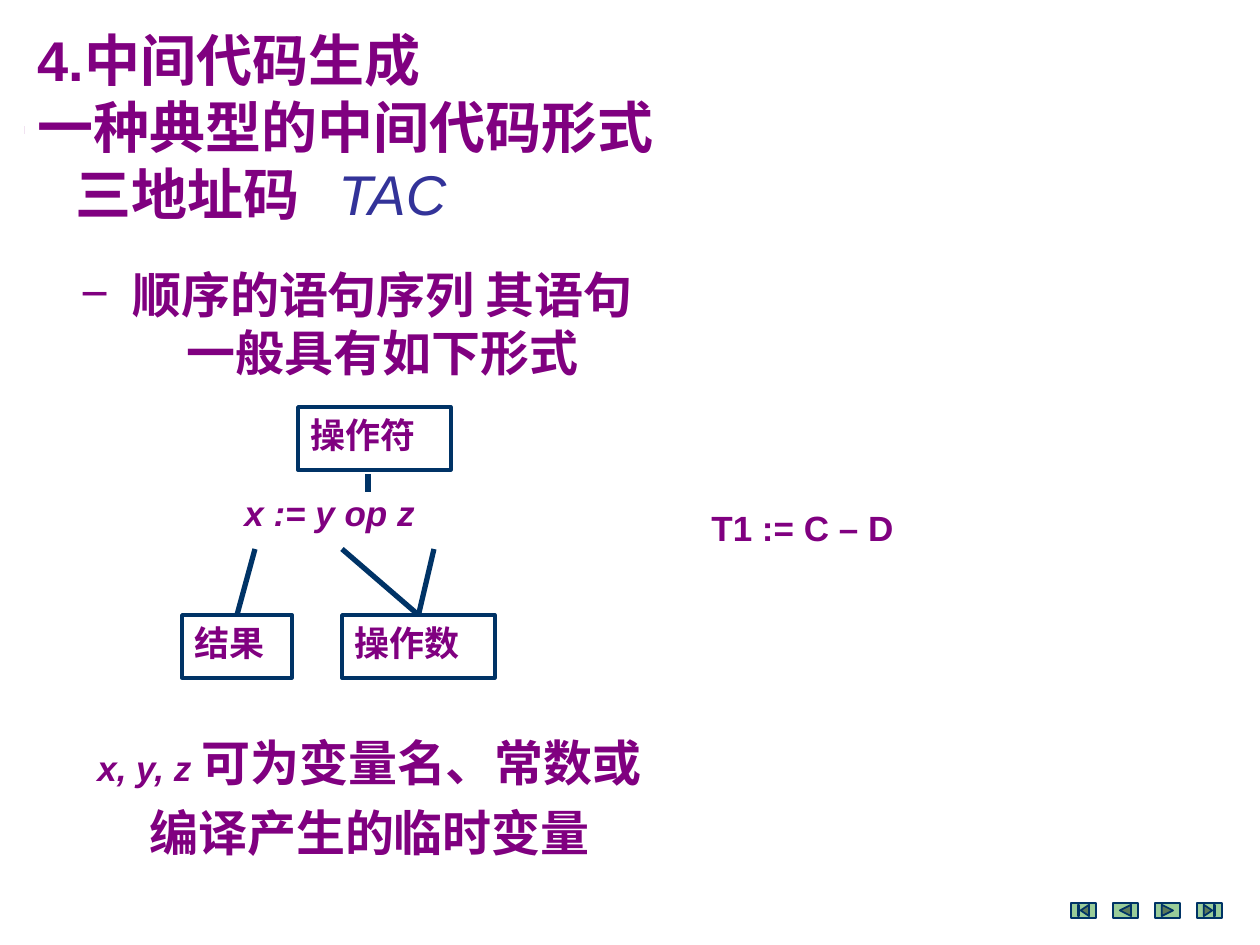
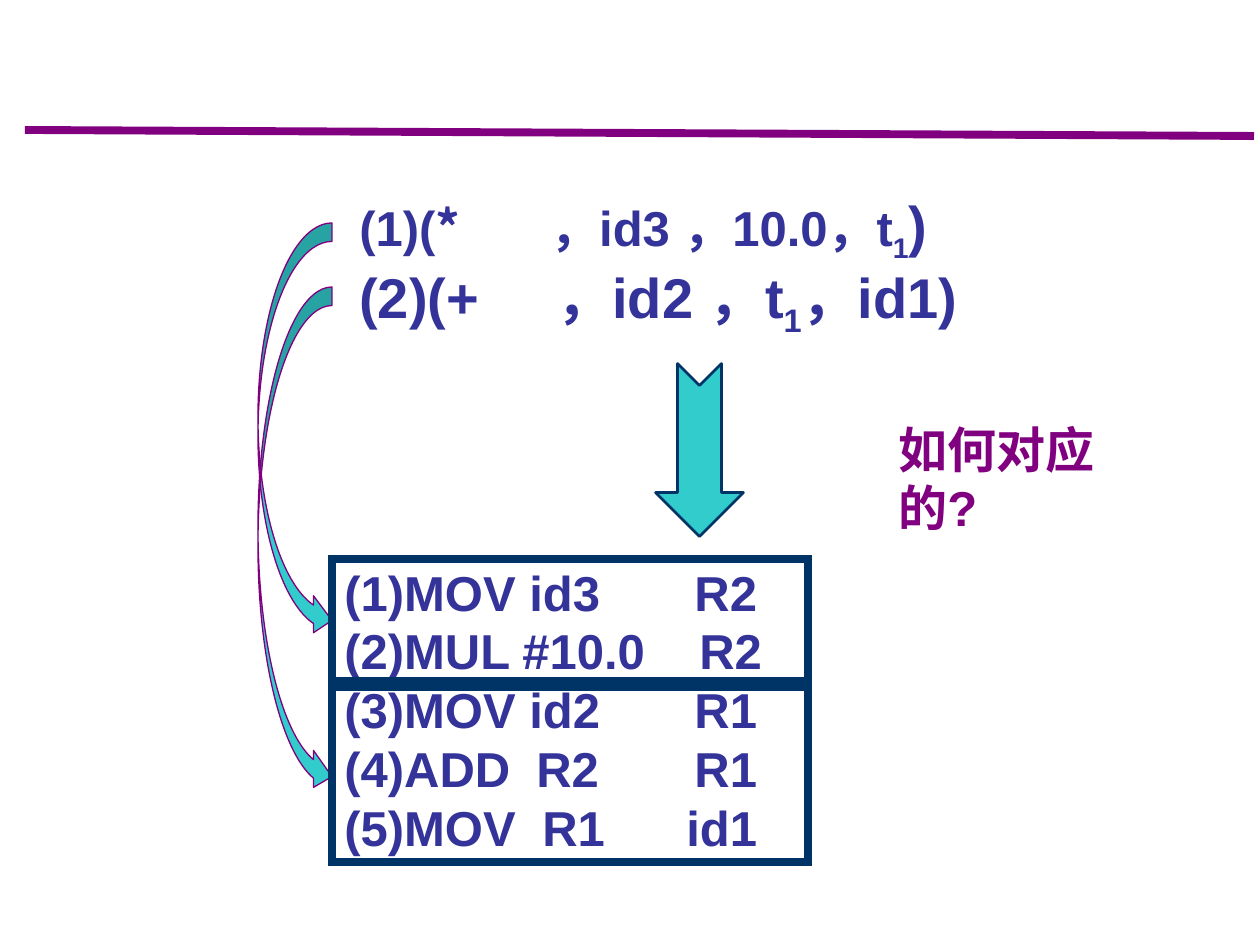
from lxml.etree import SubElement
from pptx import Presentation
from pptx.dml.color import RGBColor
from pptx.enum.shapes import MSO_CONNECTOR, MSO_SHAPE
from pptx.enum.text import MSO_ANCHOR, PP_ALIGN
from pptx.oxml.ns import qn
from pptx.util import Pt

PX = 914400 / 126
PURPLE = RGBColor(0x80, 0x00, 0x80)
NAVY = RGBColor(0x00, 0x33, 0x66)
INDIGO = RGBColor(0x33, 0x33, 0x99)
TEAL = RGBColor(0x33, 0xCC, 0xCC)
GREEN = RGBColor(0x99, 0xCC, 0x99)
WHITE = RGBColor(0xFF, 0xFF, 0xFF)
LATIN, CHINESE = "Arial", "Noto Sans CJK SC"
SUBSCRIPT = {"baseline": -25000}


def px(*lengths):
    return [round(length * PX) for length in lengths]


def add_span(para, text, size, color=PURPLE, bold=True, italic=False,
             name=LATIN, baseline=0):
    span = para.add_run()
    span.text = text
    font = span.font
    font.size, font.bold, font.italic, font.name = Pt(size), bold, italic, name
    font.color.rgb = color
    properties = span._r.get_or_add_rPr()
    if baseline:
        properties.set("baseline", str(baseline))
    SubElement(properties, qn("a:ea")).set("typeface", CHINESE)


def set_layout(para, margin=0, indent=0, bullet=None, tabs=()):
    properties = para._p.get_or_add_pPr()
    # An explicit zero indent would discard the tab stops
    for key, length in (("marL", margin), ("indent", indent)):
        if length:
            properties.set(key, str(px(length)[0]))
    if bullet:
        SubElement(properties, qn("a:buFont")).set("typeface", LATIN)
        SubElement(properties, qn("a:buChar")).set("char", bullet)
    if tabs:
        tab_list = SubElement(properties, qn("a:tabLst"))
        for position in tabs:
            tab = SubElement(tab_list, qn("a:tab"))
            tab.set("pos", str(px(position)[0]))
            tab.set("algn", "l")


def fill_text(shape, paragraphs, size, pitch=None, align=PP_ALIGN.LEFT, **style):
    """Each paragraph is (spans, layout); a span is (text, style changes)."""
    frame = shape.text_frame
    frame.word_wrap = True
    frame.vertical_anchor = MSO_ANCHOR.TOP
    for number, (spans, layout) in enumerate(paragraphs):
        para = frame.add_paragraph() if number else frame.paragraphs[0]
        para.alignment = align
        para.line_spacing = Pt(pitch or round(size * 1.2, 1))
        set_layout(para, **layout)
        for text, changes in spans:
            if text == "\v":
                para.add_line_break()
            else:
                add_span(para, text, **{"size": size, **style, **changes})


def add_text(page, place, paragraphs, size, **style):
    box = page.shapes.add_textbox(*px(*place))
    fill_text(box, paragraphs, size, **style)


def add_line_of_text(page, place, text, size, **style):
    add_text(page, place, [([(text, {})], {})], size, **style)


def add_figure(page, kind, place, line=None, width=0, fill=None):
    shape = page.shapes.add_shape(kind, *px(*place))
    shape.shadow.inherit = False
    if fill is None:
        shape.fill.background()
    else:
        shape.fill.solid()
        shape.fill.fore_color.rgb = fill
    if line is None:
        shape.line.fill.background()
    else:
        shape.line.color.rgb = line
        shape.line.width = Pt(width)
    return shape


def add_label_box(page, place, text):
    box = add_figure(page, MSO_SHAPE.RECTANGLE, place, NAVY, 2)
    fill_text(box, [([(text, {})], {})], 20)
    return box


def add_frame(page, place):
    frame = add_figure(page, MSO_SHAPE.RECTANGLE, place, NAVY, 4.5)
    corner = SubElement(frame.line._get_or_add_ln(), qn("a:miter"))
    corner.set("lim", "800000")


def add_line(page, start, end, color, width, box=None):
    """Draw a line; with a box, start it at the middle of the box's top."""
    line = page.shapes.add_connector(MSO_CONNECTOR.STRAIGHT, *px(*start, *end))
    line.line.color.rgb = color
    line.line.width = Pt(width)
    SubElement(line._element.spPr, qn("a:effectLst"))
    if box is not None:
        line.begin_connect(box, 0)


def add_navigation(page):
    buttons = (MSO_SHAPE.ACTION_BUTTON_BEGINNING,
               MSO_SHAPE.ACTION_BUTTON_BACK_OR_PREVIOUS,
               MSO_SHAPE.ACTION_BUTTON_FORWARD_OR_NEXT,
               MSO_SHAPE.ACTION_BUTTON_END)
    for number, kind in enumerate(buttons):
        add_figure(page, kind, (1071 + 42 * number, 903, 25, 15), NAVY, 1, GREEN)


def build_three_address_code(page):
    add_navigation(page)

    # Title panel and description
    title = add_figure(page, MSO_SHAPE.RECTANGLE, (25, 19, 1235, 217), fill=WHITE)
    fill_text(title, [
        ([("4.中间代码生成", {})], {}),
        ([("一种典型的中间代码形式", {})], {}),
        ([("\t三地址码\t", {}),
          ("TAC", {"color": INDIGO, "bold": False, "italic": True})],
         {"tabs": (38, 301)}),
    ], 32)
    add_text(page, (44, 258, 635, 131), [
        ([("顺序的语句序列 其语句", {}), ("\v", {}), ("一般具有如下形式", {})],
         {"margin": 42, "indent": -52, "bullet": "−"}),
    ], 28, align=PP_ALIGN.CENTER)

    # Statement with its labelled parts
    add_label_box(page, (298, 407, 153, 63), "操作符")
    operands = add_label_box(page, (342, 615, 153, 63), "操作数")
    result = add_label_box(page, (182, 615, 110, 63), "结果")
    add_line(page, (368, 474), (368, 492), NAVY, 3)
    for box, start, end in ((operands, (419, 615), (342, 549)),
                            (operands, (419, 615), (434, 549)),
                            (result, (237, 615), (255, 549))):
        add_line(page, start, end, NAVY, 3, box)
    add_line_of_text(page, (232, 485, 219, 63), "x := y op z", 20, italic=True)

    # Remark and example
    add_text(page, (10, 715, 656, 155), [
        ([("x, y, z ", {"size": 20, "italic": True}),
          ("可为变量名、常数或编译产生的临时变量", {})], {"margin": 63}),
    ], 28, pitch=40, align=PP_ALIGN.CENTER)
    add_line_of_text(page, (699, 500, 220, 55), "T1 := C – D", 20)


def build_code_mapping(page):
    # Quadruples
    large = {"size": 32}
    add_text(page, (347, 184, 730, 276), [
        ([("(1)(", {}), ("*", {"name": CHINESE}), ("\t，id3 ，10.0，t", {}),
          ("1", SUBSCRIPT), (")", large)], {"tabs": (191,)}),
        ([("(2)(+\t，id2 ，t", large), ("1", {**large, **SUBSCRIPT}),
          ("，id1)", large)], {"tabs": (197,)}),
    ], 28, pitch=42.5, color=INDIGO)
    arrow = add_figure(page, MSO_SHAPE.NOTCHED_RIGHT_ARROW,
                       (613, 406, 173, 88), NAVY, 1.5, TEAL)
    arrow.rotation = 90

    # Target code: text, then the tab stops of its operands
    instructions = (
        ("(1)MOV\tid3\tR2", (185, 350)),
        ("(2)MUL\t#10.0\tR2", (178, 355)),
        ("(3)MOV\tid2\tR1", (185, 350)),
        ("(4)ADD\tR2\tR1", (192, 350)),
        ("(5)MOV\tR1\tid1", (198, 342)),
    )
    add_text(page, (332, 556, 513, 437),
             [([(text, {})], {"tabs": tabs}) for text, tabs in instructions],
             28, color=INDIGO)

    # Each quadruple points to the frame around its instructions
    for arrow_top, arrow_height, frame_top, frame_height in (
            (223, 416, 559, 122), (287, 508, 687, 175)):
        add_figure(page, MSO_SHAPE.CURVED_RIGHT_ARROW,
                   (258, arrow_top, 74, arrow_height), PURPLE, 0.75, TEAL)
        add_frame(page, (332, frame_top, 476, frame_height))

    add_line_of_text(page, (886, 413, 240, 130), "如何对应的?", 28)


def main():
    deck = Presentation()
    deck.slide_width, deck.slide_height = px(1260, 945)
    for build in (build_three_address_code, build_code_mapping):
        page = deck.slides.add_slide(deck.slide_layouts[6])
        # Heading rule shared by all pages
        add_line(page, (25, 130), (1254, 136), PURPLE, 4.5)
        build(page)
    deck.save("out.pptx")


if __name__ == "__main__":
    main()
